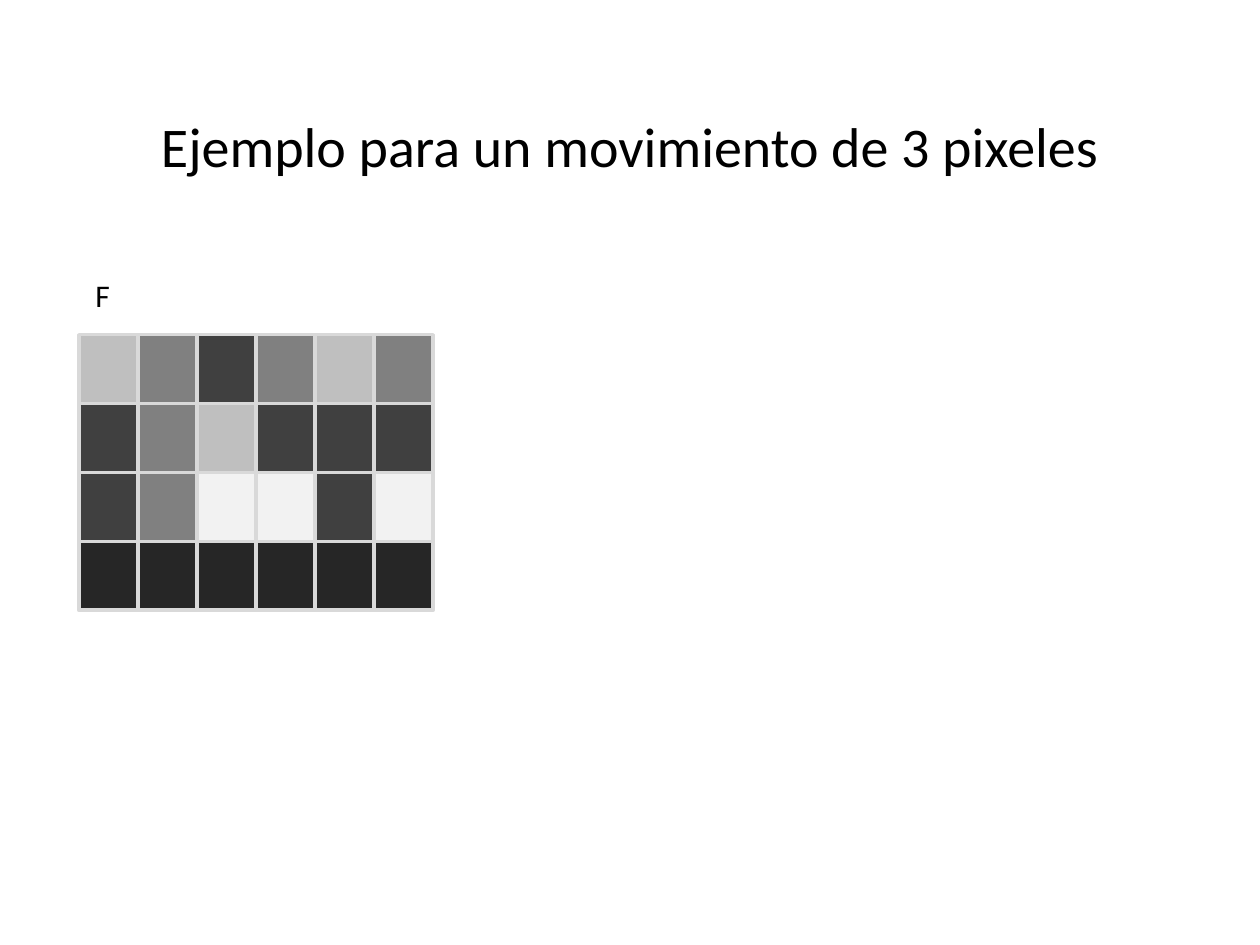
from pptx import Presentation
from pptx.dml.color import RGBColor
from pptx.enum.shapes import MSO_SHAPE
from pptx.enum.text import MSO_ANCHOR, PP_ALIGN
from pptx.util import Pt

FONT = "Calibri"
BLACK = RGBColor(0x00, 0x00, 0x00)
GRID_LINE = RGBColor(0xD9, 0xD9, 0xD9)

# Grey level of each pixel code, from white to near black
GREYS = {
    "W": RGBColor(0xF2, 0xF2, 0xF2),
    "L": RGBColor(0xBF, 0xBF, 0xBF),
    "M": RGBColor(0x80, 0x80, 0x80),
    "D": RGBColor(0x40, 0x40, 0x40),
    "K": RGBColor(0x26, 0x26, 0x26),
}
FRAME_PIXELS = ["LMDMLM", "DMLDDD", "DMWWDW", "KKKKKK"]


def format_text(text_frame, text, size, alignment):
    text_frame.word_wrap = True
    text_frame.vertical_anchor = MSO_ANCHOR.TOP
    paragraph = text_frame.paragraphs[0]
    paragraph.text = text
    paragraph.alignment = alignment
    paragraph.font.name = FONT
    paragraph.font.size = Pt(size)
    paragraph.font.color.rgb = BLACK


def place_title(slide, text, left, top, width, height):
    title = slide.shapes.title
    title.left, title.top = Pt(left), Pt(top)
    title.width, title.height = Pt(width), Pt(height)
    format_text(title.text_frame, text, 32, PP_ALIGN.CENTER)


def add_frame_label(slide, text, left, top, width, height):
    label = slide.shapes.add_textbox(Pt(left), Pt(top), Pt(width), Pt(height))
    format_text(label.text_frame, text, 18, PP_ALIGN.LEFT)


def add_pixel_grid(slide, rows, left, top, width, height):
    pixel_width = width / len(rows[0])
    pixel_height = height / len(rows)
    for row, codes in enumerate(rows):
        for column, code in enumerate(codes):
            pixel = slide.shapes.add_shape(
                MSO_SHAPE.RECTANGLE,
                Pt(left + column * pixel_width), Pt(top + row * pixel_height),
                Pt(pixel_width), Pt(pixel_height))
            pixel.shadow.inherit = False
            pixel.fill.solid()
            pixel.fill.fore_color.rgb = GREYS[code]
            pixel.line.color.rgb = GRID_LINE
            pixel.line.width = Pt(2)


def main():
    presentation = Presentation()
    presentation.slide_width, presentation.slide_height = Pt(720), Pt(540)
    title_only = presentation.slide_layouts[5]
    slide = presentation.slides.add_slide(title_only)

    place_title(slide, "Ejemplo para un movimiento de 3 pixeles", 82, 60, 556, 46)
    add_pixel_grid(slide, FRAME_PIXELS, 45, 191.25, 202.5, 157.5)
    add_frame_label(slide, "F", 47.5, 154, 277, 29)

    presentation.save("out.pptx")


if __name__ == "__main__":
    main()
